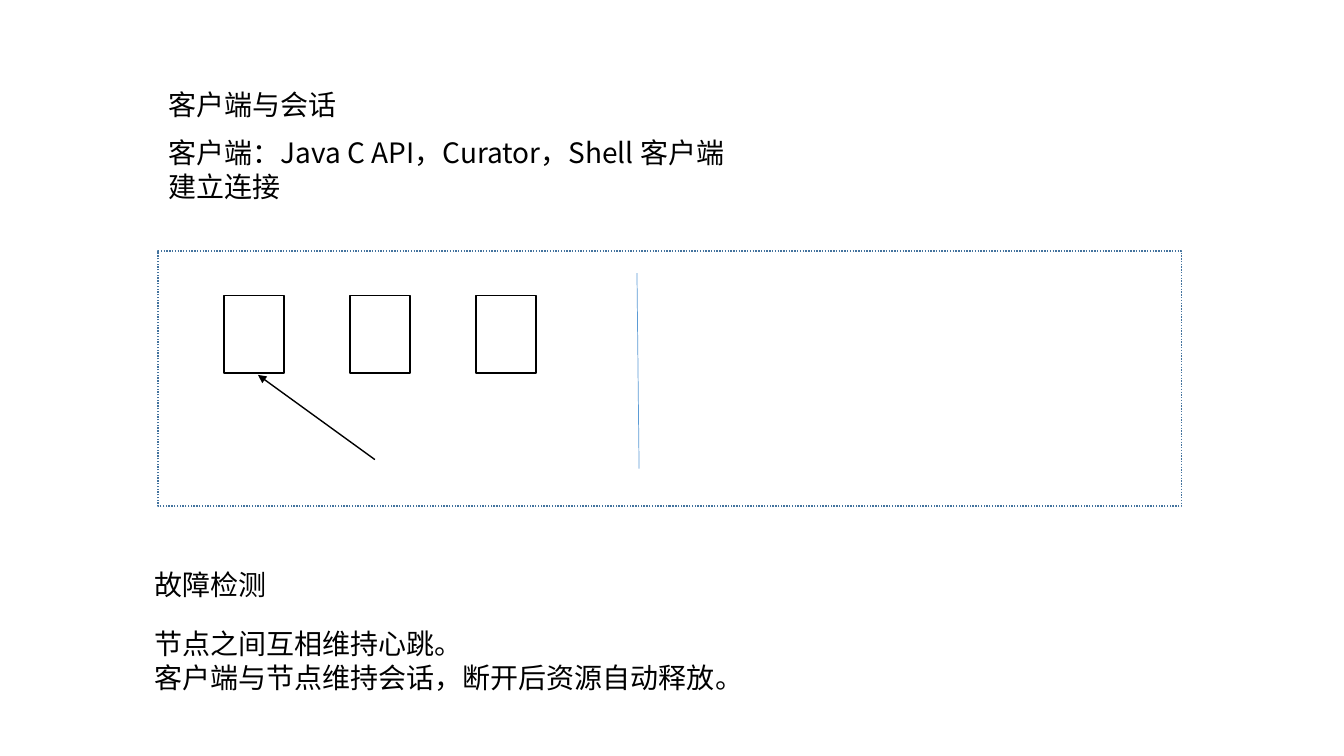
from dataclasses import dataclass

from lxml import etree
from pptx import Presentation
from pptx.dml.color import RGBColor
from pptx.enum.dml import MSO_LINE
from pptx.enum.shapes import MSO_CONNECTOR, MSO_SHAPE
from pptx.oxml.ns import qn
from pptx.util import Pt

DOTS = MSO_LINE.ROUND_DOT
RECT = MSO_SHAPE.RECTANGLE
LINE = MSO_CONNECTOR.STRAIGHT


@dataclass(frozen=True)
class Theme:
    ink: RGBColor = RGBColor(0x00, 0x00, 0x00)
    frame: RGBColor = RGBColor(0x43, 0x73, 0x9E)
    split: RGBColor = RGBColor(0x5B, 0x9B, 0xD5)
    face: str = "Noto Sans CJK SC"
    size: float = 20
    lead: float = 24.3


theme = Theme()
deck = Presentation()
deck.slide_width, deck.slide_height = Pt(960), Pt(540)
slide = deck.slides.add_slide(deck.slide_layouts[6])
shapes = slide.shapes


def add_box(left, top, width, height, color):
    box = shapes.add_shape(RECT, Pt(left), Pt(top), Pt(width), Pt(height))
    box.shadow.inherit = False
    box.fill.background()
    box.line.color.rgb = color
    box.line.width = Pt(1)
    return box


def add_line(x1, y1, x2, y2, color, width):
    line = shapes.add_connector(LINE, Pt(x1), Pt(y1), Pt(x2), Pt(y2))
    line.line.color.rgb = color
    line.line.width = Pt(width)
    etree.SubElement(line._element.spPr, qn("a:effectLst"))
    return line


# Headings and notes: left, top, lines
texts = [
    (113, 58.3, ["客户端与会话"]),
    (113, 92.9, ["客户端：Java\u00a0C API，Curator，Shell 客户端", "建立连接"]),
    (103, 401.8, ["故障检测"]),
    (103, 443.5, ["节点之间互相维持心跳。", "客户端与节点维持会话，断开后资源自动释放。"]),
]
for left, top, lines in texts:
    height = 7.2 + theme.lead * len(lines)
    box = shapes.add_textbox(Pt(left), Pt(top), Pt(754), Pt(height))
    frame = box.text_frame
    frame.word_wrap = True
    frame.text = "\n".join(lines)
    for para in frame.paragraphs:
        para.line_spacing = Pt(theme.lead)
        para.font.size = Pt(theme.size)
        para.font.color.rgb = theme.ink
        para.font.name = theme.face
        # East Asian glyphs take their own typeface entry
        props = para._p.pPr.find(qn("a:defRPr"))
        etree.SubElement(props, qn("a:ea"), typeface=theme.face)

# Dotted frame around the cluster
cluster = add_box(113, 179.3, 731, 182.2, theme.frame)
cluster.line.dash_style = DOTS

# Three nodes at an equal pitch
for i in range(3):
    add_box(160 + 90 * i, 211, 42.8, 55.4, theme.ink)

# Client arrow to the first node
arrow = add_line(267.8, 328.3, 184.3, 267.8, theme.ink, 1)
etree.SubElement(arrow.line._get_or_add_ln(), qn("a:tailEnd"), type="triangle")

# Divider inside the frame
add_line(455, 195.1, 456.5, 334.8, theme.split, 0.5)

deck.save("out.pptx")
